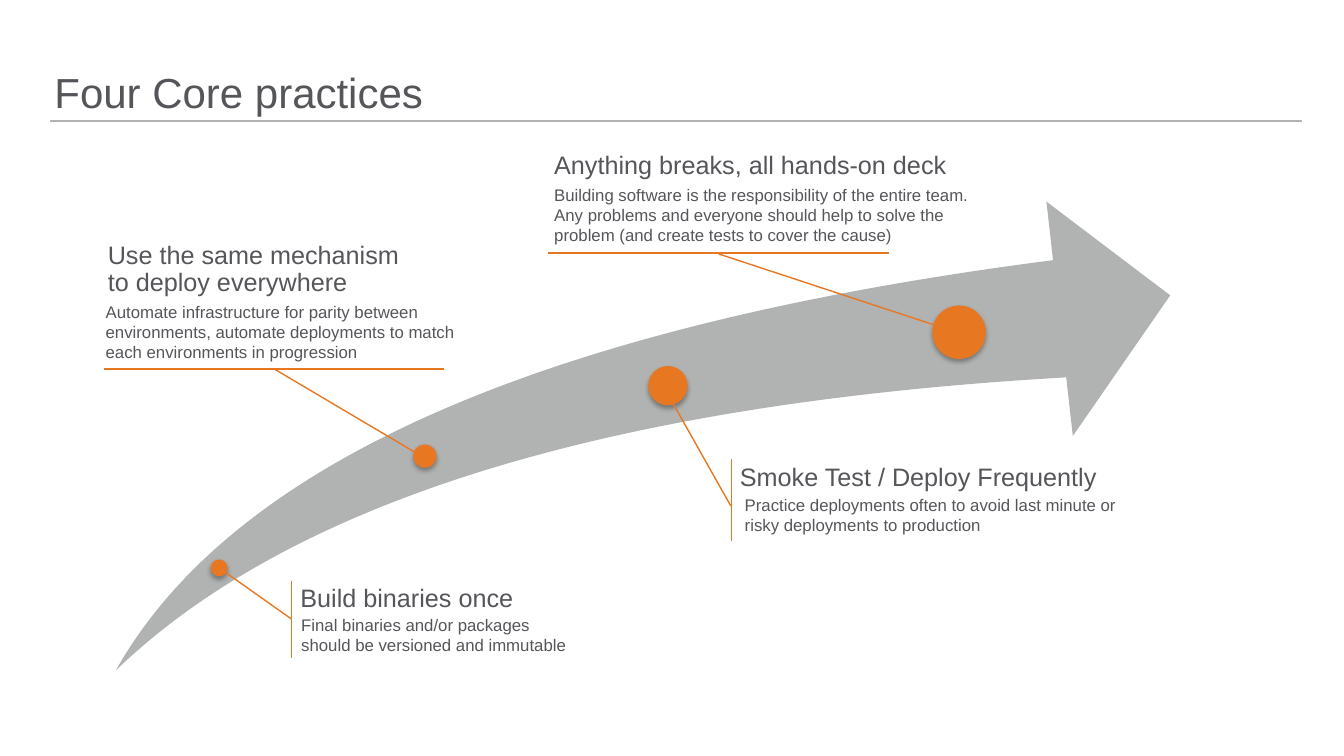
"""Build the "Four Core practices" slide: a rising arrow with four callouts."""
from dataclasses import dataclass

from lxml import etree
from pptx import Presentation
from pptx.dml.color import RGBColor
from pptx.enum.shapes import MSO_CONNECTOR, MSO_SHAPE
from pptx.enum.text import MSO_ANCHOR
from pptx.oxml.ns import qn
from pptx.shapes.autoshape import Shape
from pptx.slide import Slide
from pptx.util import Pt

STRAIGHT = MSO_CONNECTOR.STRAIGHT
SWOOSH = MSO_SHAPE.SWOOSH_ARROW
OVAL = MSO_SHAPE.OVAL
TOP, BOTTOM = MSO_ANCHOR.TOP, MSO_ANCHOR.BOTTOM

COLORS = {"text": "55565A", "arrow": "B1B3B3", "accent": "E87722", "shadow": "000000"}
FONT = "Arial"


@dataclass(frozen=True)
class Label:
    text: str
    box: tuple[float, float, float, float]
    size: float
    insets: tuple[float, float, float, float] = (7.2, 3.6, 7.2, 3.6)
    spacing: float = 1.0
    wrap: bool = True
    anchor: MSO_ANCHOR = TOP


@dataclass(frozen=True)
class Segment:
    start: tuple[float, float]
    end: tuple[float, float]


@dataclass(frozen=True)
class Practice:
    dot_corner: tuple[float, float]
    dot_size: float
    heading: Label
    body: Label
    rule: Segment
    leader: Segment


TITLE = Label("Four Core practices", (38.9, 0, 640, 84.2), 30, (0, 0, 0, 0), 0.9, anchor=BOTTOM)
TITLE_RULE = Segment((36, 86.4), (930.2, 86.4))
ARROW_BOX = (82.8, 144, 753.1, 334.8)

PRACTICES = [
    Practice(
        (150.5, 399.6), 12.2,
        Label("Build binaries once", (208.1, 418.3, 256.3, 36), 18, (6.5, 0, 0, 0), 0.9),
        Label("Final binaries and/or packages \vshould be versioned and immutable",
              (208.1, 435.6, 280, 36), 12),
        Segment((208.1, 414.7), (208.1, 470.2)),
        Segment((161.3, 409), (208.1, 442.1)),
    ),
    Practice(
        (295.2, 317.5), 16.6,
        Label("Use the same mechanism to deploy everywhere",
              (65.5, 173.5, 227.5, 70.6), 18, (11.5, 0, 0, 0), 0.9),
        Label("Automate infrastructure for parity between environments, automate "
              "deployments to match each environments in progression",
              (68.4, 211.7, 280, 51), 12),
        Segment((74.2, 263.5), (317.5, 263.5)),
        Segment((195.8, 263.5), (301.7, 326.2)),
    ),
    Practice(
        (463, 261.4), 28.1,
        Label("Smoke Test / Deploy Frequently", (513.4, 331.9, 346.3, 127.4), 18,
              (15.1, 0, 0, 0), 0.9),
        Label("Practice deployments often to avoid last minute or risky deployments "
              "to production", (524.9, 349.9, 280, 36), 12),
        Segment((522.7, 327.6), (522.7, 386.6)),
        Segment((476.6, 280.8), (522, 361.4)),
    ),
    Practice(
        (666, 218.2), 38.2,
        Label("Anything breaks, all hands-on deck", (388.8, 103, 297.4, 28.8), 18, wrap=False),
        Label("Building software is the responsibility of the entire team. Any problems "
              "and everyone should help to solve the problem (and create tests to cover "
              "the cause)", (388.8, 128.2, 326.9, 51), 12),
        Segment((391.7, 180.7), (635, 180.7)),
        Segment((513.4, 181.4), (686.2, 238.3)),
    ),
]


def add_label(slide: Slide, label: Label) -> None:
    frame = slide.shapes.add_textbox(*map(Pt, label.box)).text_frame
    frame.word_wrap = label.wrap
    frame.vertical_anchor = label.anchor
    (frame.margin_left, frame.margin_top,
     frame.margin_right, frame.margin_bottom) = map(Pt, label.insets)
    frame.text = label.text
    paragraph = frame.paragraphs[0]
    paragraph.line_spacing = label.spacing
    for run in paragraph.runs:
        run.font.name = FONT
        run.font.size = Pt(label.size)
        run.font.color.rgb = RGBColor.from_string(COLORS["text"])


def add_segment(slide: Slide, segment: Segment, color: str) -> None:
    line = slide.shapes.add_connector(STRAIGHT, *map(Pt, segment.start + segment.end))
    line.line.color.rgb = RGBColor.from_string(COLORS[color])
    line.line.width = Pt(1)
    etree.SubElement(line._element.spPr, qn("a:effectLst"))


def add_filled(slide: Slide, kind: MSO_SHAPE, box: tuple[float, ...], color: str) -> Shape:
    shape = slide.shapes.add_shape(kind, *map(Pt, box))
    shape.shadow.inherit = False
    shape.fill.solid()
    shape.fill.fore_color.rgb = RGBColor.from_string(COLORS[color])
    shape.line.fill.background()
    return shape


def add_dot(slide: Slide, practice: Practice) -> None:
    size = practice.dot_size
    dot = add_filled(slide, OVAL, (*practice.dot_corner, size, size), "accent")
    effects = dot._element.spPr.find(qn("a:effectLst"))
    shadow = etree.SubElement(effects, qn("a:outerShdw"), blurRad=str(Pt(3.5)),
                              dist=str(Pt(2.2)), dir="5400000", rotWithShape="0")
    tint = etree.SubElement(shadow, qn("a:srgbClr"), val=COLORS["shadow"])
    etree.SubElement(tint, qn("a:alpha"), val="32000")


def main() -> None:
    deck = Presentation()
    deck.slide_width, deck.slide_height = Pt(960), Pt(540)
    slide = deck.slides.add_slide(deck.slide_layouts[6])

    add_segment(slide, TITLE_RULE, "arrow")
    add_label(slide, TITLE)
    arrow = add_filled(slide, SWOOSH, ARROW_BOX, "arrow")
    arrow.adjustments[0] = 0.25
    arrow.adjustments[1] = 0.25

    for practice in PRACTICES:
        add_dot(slide, practice)
        add_label(slide, practice.heading)
        add_label(slide, practice.body)
        add_segment(slide, practice.rule, "accent")
        add_segment(slide, practice.leader, "accent")

    deck.save("out.pptx")


if __name__ == "__main__":
    main()
